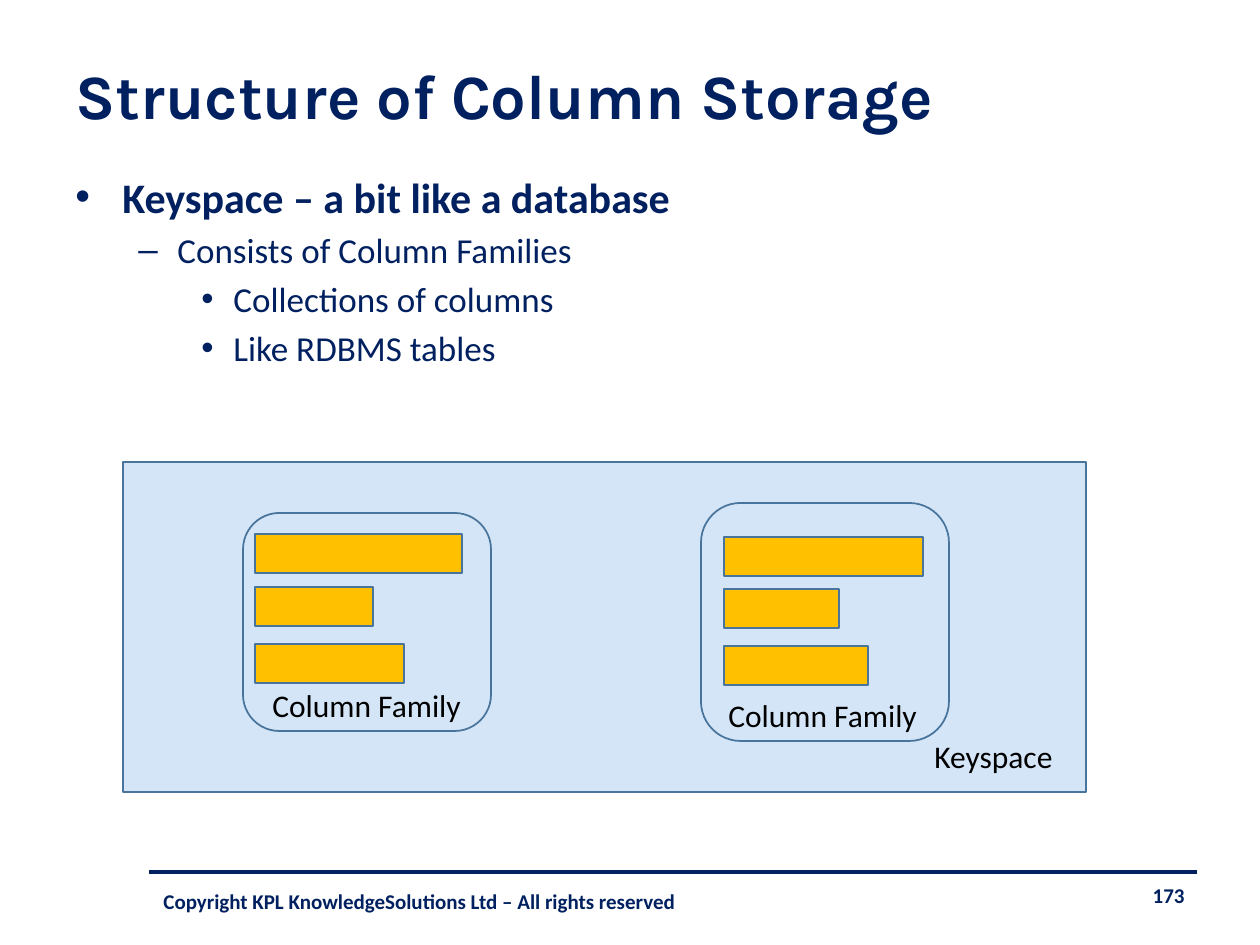
"""Build the slide on the structure of column storage."""
from lxml.etree import SubElement
from pptx import Presentation
from pptx.dml.color import RGBColor
from pptx.enum.shapes import MSO_CONNECTOR, MSO_SHAPE
from pptx.enum.text import MSO_ANCHOR, PP_ALIGN
from pptx.oxml.ns import qn
from pptx.util import Pt

EMU_PER_PX = 914400 / 126
NAVY, OUTLINE, PALE_BLUE, AMBER, BLACK = "002060", "49749B", "D4E5F7", "FFC000", "000000"


def px(*lengths):
    return [round(length * EMU_PER_PX) for length in lengths]


def color(value):
    return RGBColor.from_string(value)


presentation = Presentation()
presentation.slide_width, presentation.slide_height = px(1260, 945)
slide = presentation.slides.add_slide(presentation.slide_layouts[5])
shapes = slide.shapes

heading = shapes.title
heading.left, heading.top, heading.width, heading.height = px(63, 37, 1143, 115)
heading.text_frame.text = "Structure of Column Storage"
heading.text_frame.vertical_anchor = MSO_ANCHOR.MIDDLE
heading_line = heading.text_frame.paragraphs[0]
heading_line.alignment = PP_ALIGN.LEFT
for name, value in {"name": "Karla", "size": Pt(36), "bold": True}.items():
    setattr(heading_line.font, name, value)
heading_line.font.color.rgb = color(NAVY)

footer_rule = shapes.add_connector(MSO_CONNECTOR.STRAIGHT, *px(149, 872, 1197, 872))
footer_rule.line.color.rgb = color(NAVY)
footer_rule.line.width = Pt(2.25)
SubElement(footer_rule._element.spPr, qn("a:effectLst"))

outline = shapes.add_textbox(*px(63, 165, 1134, 285)).text_frame
outline.word_wrap = True
points = [
    (0, "Keyspace – a bit like a database", 24, 47, 47, "•"),
    (1, "Consists of Column Families", 20, 102, 39, "–"),
    (2, "Collections of columns", 20, 158, 32, "•"),
    (2, "Like RDBMS tables", 20, 158, 32, "•"),
]
for index, (level, words, size, margin, hanging, bullet) in enumerate(points):
    point = outline.add_paragraph() if index else outline.paragraphs[0]
    point.text = words
    point.level = level
    point.space_before = Pt(size * 0.2 if index else 0)
    properties = point._p.get_or_add_pPr()
    properties.set("marL", str(px(margin)[0]))
    properties.set("indent", str(px(-hanging)[0]))
    SubElement(properties, qn("a:buFont"), typeface="Arial")
    SubElement(properties, qn("a:buChar"), char=bullet)
    for name, value in {"name": "Calibri", "size": Pt(size), "bold": level == 0}.items():
        setattr(point.font, name, value)
    point.font.color.rgb = color(NAVY)

blocks = [
    (MSO_SHAPE.RECTANGLE, (123, 462, 963, 330), PALE_BLUE),
    (MSO_SHAPE.ROUNDED_RECTANGLE, (243, 513, 248, 218), None),
    (MSO_SHAPE.ROUNDED_RECTANGLE, (701, 503, 248, 238), None),
]
column_families = [
    (255, (534, 587, 644), (207, 118, 149)),
    (724, (537, 589, 646), (199, 115, 144)),
]
for left, tops, widths in column_families:
    for top, width in zip(tops, widths):
        blocks.append((MSO_SHAPE.RECTANGLE, (left, top, width, 39), AMBER))
for preset, bounds, fill in blocks:
    block = shapes.add_shape(preset, *px(*bounds))
    block.shadow.inherit = False
    if fill:
        block.fill.solid()
        block.fill.fore_color.rgb = color(fill)
    else:
        block.fill.background()
    block.line.color.rgb = color(OUTLINE)
    block.line.width = Pt(1)

label = {"size": Pt(18), "bold": False}
footer = {"size": Pt(12), "bold": True}
captions = [
    ("Keyspace", (922, 731, 145, 50), label, BLACK, PP_ALIGN.LEFT, MSO_ANCHOR.TOP),
    ("Column Family", (716, 690, 217, 50), label, BLACK, PP_ALIGN.LEFT, MSO_ANCHOR.TOP),
    ("Column Family", (260, 680, 217, 50), label, BLACK, PP_ALIGN.LEFT, MSO_ANCHOR.TOP),
    ("173", (829, 876, 368, 50), footer, NAVY, PP_ALIGN.RIGHT, MSO_ANCHOR.TOP),
    ("Copyright KPL KnowledgeSolutions Ltd – All rights reserved",
     (151, 876, 659, 50), footer, NAVY, PP_ALIGN.LEFT, MSO_ANCHOR.MIDDLE),
]
for words, bounds, style, ink, alignment, anchor in captions:
    frame = shapes.add_textbox(*px(*bounds)).text_frame
    frame.word_wrap = style is footer
    frame.vertical_anchor = anchor
    caption = frame.paragraphs[0]
    caption.text = words
    caption.alignment = alignment
    for name, value in {"name": "Calibri", **style}.items():
        setattr(caption.font, name, value)
    caption.font.color.rgb = color(ink)

presentation.save("out.pptx")
